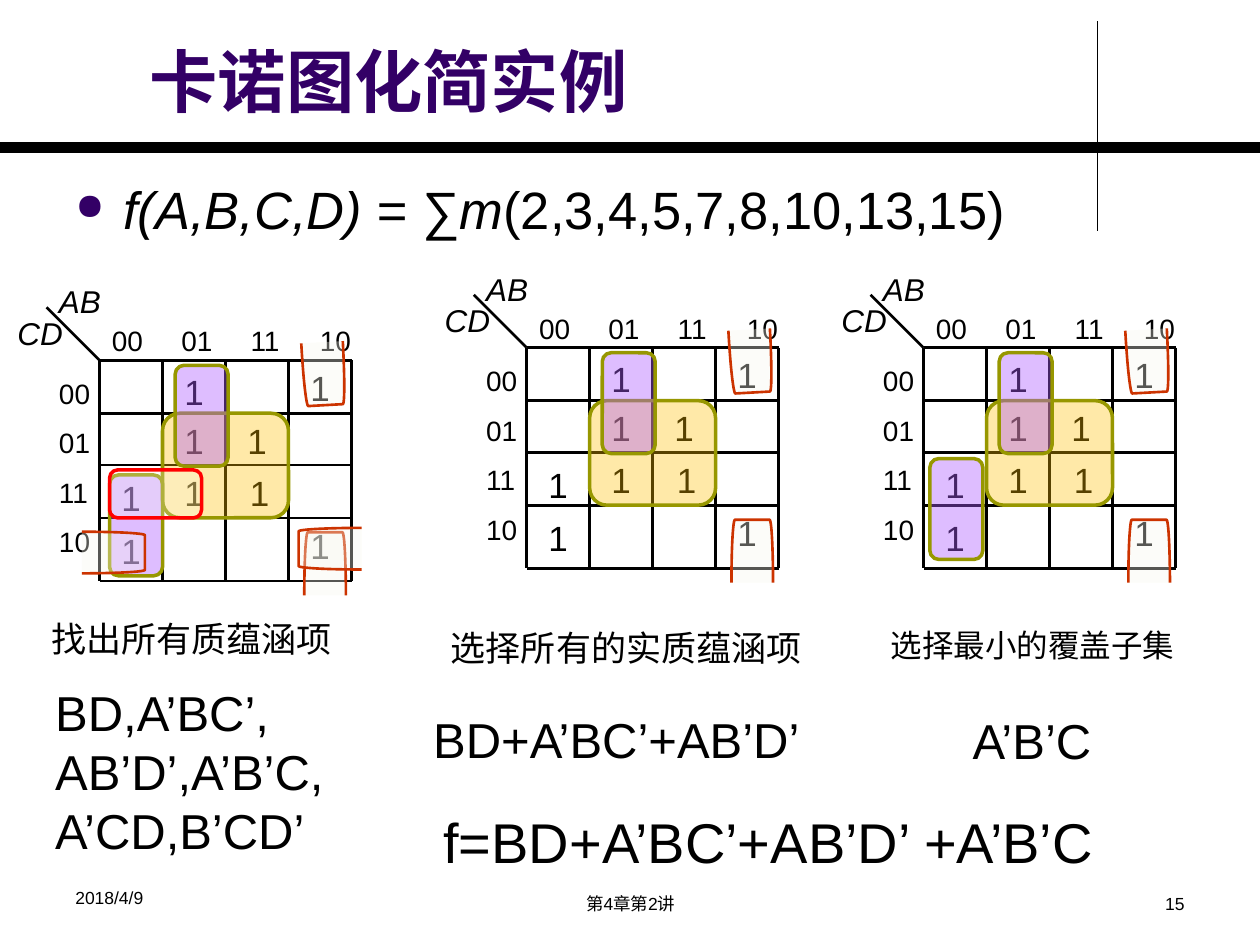
"""Build a slide that simplifies a Boolean function with three Karnaugh maps."""
from lxml import etree
from pptx import Presentation
from pptx.dml.color import RGBColor
from pptx.enum import shapes, text
from pptx.oxml.ns import qn
from pptx.util import Inches, Pt

BLACK = RGBColor(0x00, 0x00, 0x00)
INDIGO = RGBColor(0x33, 0x00, 0x66)
AMBER = RGBColor(0xFF, 0xC0, 0x00)
VIOLET = RGBColor(0xAD, 0x5C, 0xFF)
PALE = RGBColor(0xF9, 0xF9, 0xEE)
OLIVE = RGBColor(0x97, 0x97, 0x00)
RED = RGBColor(0xFF, 0x00, 0x00)
RUST = RGBColor(0xCC, 0x33, 0x00)

ROUND = shapes.MSO_SHAPE.ROUNDED_RECTANGLE
BRACKET = shapes.MSO_SHAPE.LEFT_BRACKET
ALIGN = text.PP_ALIGN
CODES = ("00", "01", "11", "10")
COLS = (0, 0.5, 1, 1.5, 2)
ROWS = (0, 0.42, 0.83, 1.25, 1.75)
ONES = ((1.5, 1.25), (0.5, 0.42), (0.5, 0.03), (0.5, 0.83), (0, 1.29),
        (1.02, 0.83), (1.5, 0), (0, 0.87), (1, 0.42))


def add_run(para, words, size, color=BLACK, **style):
    """Add a run of Arial text to a paragraph."""
    run = para.add_run()
    run.text = words
    for key, value in {"name": "Arial", "size": Pt(size), **style}.items():
        setattr(run.font, key, value)
    run.font.color.rgb = color


def add_text(tree, box, lines, size, align=ALIGN.LEFT, wrap=True, gap=0,
             anchor=text.MSO_ANCHOR.TOP, **style):
    """Add a text box with one paragraph for each line."""
    frame = tree.add_textbox(*map(Inches, box)).text_frame
    form = {"word_wrap": wrap, "vertical_anchor": anchor,
            "auto_size": text.MSO_AUTO_SIZE.NONE}
    for key, value in form.items():
        setattr(frame, key, value)
    for num, line in enumerate(lines):
        para = frame.add_paragraph() if num else frame.paragraphs[0]
        para.alignment = align
        if num:
            para.space_before = Pt(gap)
        add_run(para, line, size, **style)
    return frame


def add_line(tree, start, end, width=1.5):
    """Add a straight black line."""
    line = tree.add_connector(shapes.MSO_CONNECTOR.STRAIGHT,
                              *map(Inches, (*start, *end)))
    line.line.color.rgb = BLACK
    line.line.width = Pt(width)
    etree.SubElement(line._element.spPr, qn("a:effectLst"))


def add_loop(tree, kind, box, fill, alpha, edge, width=2, turn=0):
    """Add a see-through outline around a group of cells."""
    loop = tree.add_shape(kind, *map(Inches, box))
    loop.shadow.inherit = False
    loop.rotation = turn
    loop.fill.solid()
    loop.fill.fore_color.rgb = fill
    tint = loop._element.spPr.find(qn("a:solidFill"))[0]
    etree.SubElement(tint, qn("a:alpha"), val=str(alpha * 1000))
    loop.line.color.rgb = edge
    loop.line.width = Pt(width)
    return loop


def add_hook(tree, x, y, turn=0):
    """Add a bracket for a loop that runs over the map's edge."""
    hook = add_loop(tree, BRACKET, (x, y, 0.5, 0.33), PALE, 35, RUST, 1.5, turn)
    hook.adjustments[0] = 0.083


def add_heads(tree, x, y):
    """Add the variable names and the codes of rows and columns."""
    add_line(tree, (x - 0.42, y - 0.42), (x, y))
    add_text(tree, (x - 0.75, y - 0.42, 0.58, 0.4), ["CD"], 18, italic=True)
    add_text(tree, (x - 0.42, y - 0.67, 0.67, 0.4), ["AB"], 18, italic=True)
    add_text(tree, (x - 0.42, y + 0.08, 0.5, 1.57), CODES, 16, gap=9)
    frame = add_text(tree, (x, y - 0.34, 2.42, 0.37), ["\t".join(CODES)], 16)
    tabs = etree.SubElement(frame.paragraphs[0]._p.get_or_add_pPr(), qn("a:tabLst"))
    for step in range(1, len(CODES)):
        etree.SubElement(tabs, qn("a:tab"), pos=str(Inches(0.55 * step)), algn="l")


def add_map(slide, x, y):
    """Add a Karnaugh map with the loops that all maps share."""
    tree = slide.shapes.add_group_shape().shapes
    for dx, dy in ONES:
        add_text(tree, (x + dx, y + dy, 0.5, 0.42), ["1"], 20, ALIGN.CENTER)
    for dy in ROWS:
        add_line(tree, (x, y + dy), (x + COLS[-1], y + dy))
    for dx in COLS:
        add_line(tree, (x + dx, y), (x + dx, y + ROWS[-1]))
    add_heads(tree, x, y)
    add_loop(tree, ROUND, (x + 0.5, y + 0.42, 1, 0.83), AMBER, 34, OLIVE)
    add_loop(tree, ROUND, (x + 0.6, y + 0.04, 0.42, 0.8), VIOLET, 40, OLIVE)
    add_hook(tree, x + 1.54, y + 1.45, 90)
    add_hook(tree, x + 1.53, y - 0.06, 266.8)


def add_top(tree):
    """Add the rules, the title and the function."""
    add_line(tree, (8.71, 0.17), (8.71, 1.83), 0.75)
    add_line(tree, (0, 1.17), (10, 1.17), 6)
    add_text(tree, (1.09, 0.2, 7.55, 0.81), ["卡诺图化简实例"], 39,
             anchor=text.MSO_ANCHOR.BOTTOM, bold=True, color=INDIGO)
    frame = add_text(tree, (0.5, 1.36, 8.33, 0.5), ["f(A,B,C,D) = ∑m"], 30,
                     italic=True)
    para = frame.paragraphs[0]
    add_run(para, "(2,3,4,5,7,8,10,13,15)", 30)
    props = para._p.get_or_add_pPr()
    props.set("marL", str(Inches(0.38)))
    props.set("indent", str(Inches(-0.38)))
    color = etree.SubElement(props, qn("a:buClr"))
    etree.SubElement(color, qn("a:srgbClr"), val=str(INDIGO))
    etree.SubElement(props, qn("a:buSzPct"), val="70000")
    etree.SubElement(props, qn("a:buChar"), char="●")


def add_notes(tree):
    """Add the captions, the terms and the footer."""
    for box, words, size in (
            ((0.31, 4.85, 2.45, 0.44), "找出所有质蕴涵项", 20),
            ((3.48, 4.92, 3.01, 0.44), "选择所有的实质蕴涵项", 20),
            ((6.97, 4.92, 2.47, 0.4), "选择最小的覆盖子集", 18)):
        add_text(tree, box, [words], size, wrap=False)
    for box, words, size in (
            ((0.34, 5.37, 2.33, 1.51), "BD,A’BC’, AB’D’,A’B’C,A’CD,B’CD’", 28),
            ((3.34, 5.58, 3.23, 0.57), "BD+A’BC’+AB’D’", 28),
            ((7.62, 5.59, 2.05, 0.57), "A’B’C", 28),
            ((3.42, 6.36, 6.08, 0.64), "f=BD+A’BC’+AB’D’ +A’B’C", 32)):
        add_text(tree, box, [words], size)
    for box, words, align in (
            ((0.5, 6.99, 2.33, 0.34), "2018/4/9", ALIGN.LEFT),
            ((3.42, 7.04, 3.17, 0.29), "第4章第2讲", ALIGN.CENTER),
            ((7.17, 7.04, 2.33, 0.29), "15", ALIGN.RIGHT)):
        add_text(tree, box, [words], 10, align)


def main():
    """Build and save the slide."""
    deck = Presentation()
    deck.slide_width, deck.slide_height = Inches(10), Inches(7.5)
    slide = deck.slides.add_slide(deck.slide_layouts[6])
    tree = slide.shapes
    add_top(tree)
    for x, y in ((0.79, 2.86), (4.18, 2.76), (7.33, 2.76)):
        add_map(slide, x, y)
    for x, y in ((0.87, 3.77), (7.38, 3.64)):
        add_loop(tree, ROUND, (x, y, 0.42, 0.8), VIOLET, 40, OLIVE)
    add_loop(tree, ROUND, (0.87, 3.73, 0.73, 0.38), PALE, 25, RED)
    add_hook(tree, 2.37, 4.19)
    add_hook(tree, 0.65, 4.22, 180)
    add_notes(tree)
    deck.save("out.pptx")


if __name__ == "__main__":
    main()
